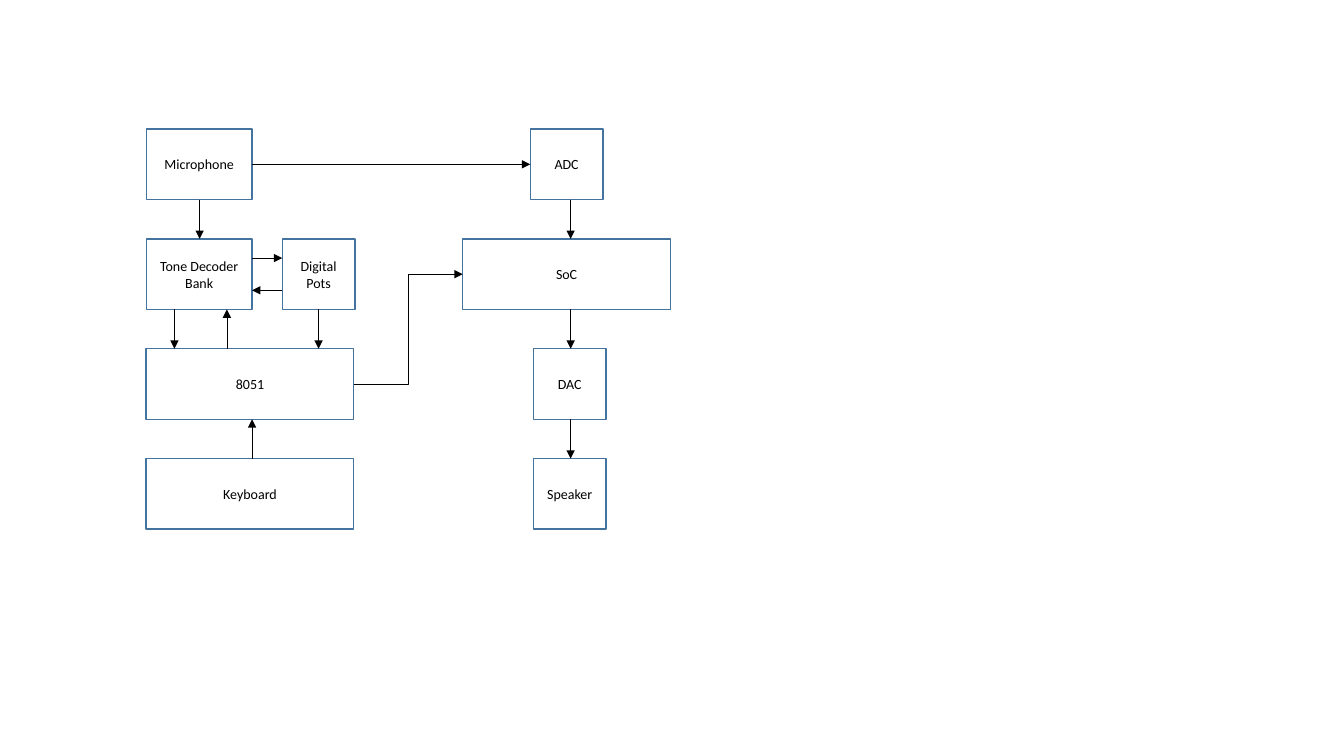
from pptx import Presentation
from pptx.dml.color import RGBColor
from pptx.enum.shapes import MSO_CONNECTOR, MSO_SHAPE
from pptx.enum.text import MSO_ANCHOR, PP_ALIGN
from pptx.oxml.ns import qn
from pptx.util import Inches, Pt
from lxml import etree

RECT = MSO_SHAPE.RECTANGLE
STRAIGHT, ELBOW = MSO_CONNECTOR.STRAIGHT, MSO_CONNECTOR.ELBOW
MIDDLE, CENTER = MSO_ANCHOR.MIDDLE, PP_ALIGN.CENTER
COLORS = {"fill": "FFFFFF", "border": "43739E", "ink": "000000"}
FONT = "Calibri"
BLOCK_H, PITCH = 0.7, 1.09
WIDE, MEDIUM, NARROW = 2.06, 1.05, 0.72
RIGHT_SITE, LEFT_SITE = 3, 1


def rgb(name):
    """Return a named colour."""
    return RGBColor.from_string(COLORS[name])


def add_block(slide, text, x, y, w):
    """Add one labelled block of the diagram."""
    s = slide.shapes.add_shape(RECT, Inches(x), Inches(y), Inches(w), Inches(BLOCK_H))
    s.shadow.inherit = False
    s.fill.solid()
    s.fill.fore_color.rgb = rgb("fill")
    s.line.color.rgb = rgb("border")
    s.line.width = Pt(1)
    tf = s.text_frame
    tf.word_wrap = True
    tf.vertical_anchor = MIDDLE
    tf.text = text
    p = tf.paragraphs[0]
    p.alignment = CENTER
    font = p.runs[0].font
    font.name, font.size = FONT, Pt(10)
    font.color.rgb = rgb("ink")
    return s


def add_arrow(slide, x1, y1, x2, y2, kind=STRAIGHT):
    """Add a thin connector with a triangular arrowhead at its end."""
    c = slide.shapes.add_connector(kind, Inches(x1), Inches(y1), Inches(x2), Inches(y2))
    c.line.color.rgb = rgb("ink")
    c.line.width = Pt(0.5)
    etree.SubElement(c.line._get_or_add_ln(), qn("a:tailEnd"), type="triangle")
    etree.SubElement(c._element.spPr, qn("a:effectLst"))
    return c


def add_control_side(slide, x, y):
    """Draw the input and control blocks and return the controller."""
    rows = [y + i * PITCH for i in range(4)]
    ends = [top + BLOCK_H for top in rows]
    pots_x = x + WIDE - NARROW + 0.01
    add_block(slide, "Microphone", x, rows[0], MEDIUM)
    add_block(slide, "Tone Decoder Bank", x, rows[1], MEDIUM)
    add_block(slide, "Digital Pots", pots_x, rows[1], NARROW)
    controller = add_block(slide, "8051", x, rows[2], WIDE)
    add_block(slide, "Keyboard", x, rows[3], WIDE)
    add_arrow(slide, x + 0.53, ends[0], x + 0.53, rows[1])
    add_arrow(slide, x + MEDIUM, rows[1] + 0.19, pots_x, rows[1] + 0.19)
    add_arrow(slide, pots_x, rows[1] + 0.51, x + MEDIUM, rows[1] + 0.51)
    for dx in (0.28, 1.71):
        add_arrow(slide, x + dx, ends[1], x + dx, rows[2])
    add_arrow(slide, x + 0.8, rows[2], x + 0.8, ends[1])
    add_arrow(slide, x + MEDIUM, rows[3], x + MEDIUM, ends[2])
    return controller


def add_audio_side(slide, x, y):
    """Draw the audio chain and return its processor."""
    rows = [y + i * PITCH for i in range(4)]
    add_block(slide, "ADC", x + 0.67, rows[0], NARROW)
    processor = add_block(slide, "SoC", x, rows[1], WIDE)
    for text, top in zip(("DAC", "Speaker"), rows[2:]):
        add_block(slide, text, x + 0.7, top, NARROW)
    for top, below in zip(rows, rows[1:]):
        add_arrow(slide, x + 1.07, top + BLOCK_H, x + 1.07, below)
    return processor


def add_block_diagram(slide, x, y):
    """Draw both sides of the diagram and the links between them."""
    audio_x = x + 3.14
    controller = add_control_side(slide, x, y)
    processor = add_audio_side(slide, audio_x, y)
    mid = y + BLOCK_H / 2
    add_arrow(slide, x + MEDIUM, mid, audio_x + 0.67, mid)
    link = add_arrow(slide, x + WIDE, mid + 2 * PITCH, audio_x, mid + PITCH, ELBOW)
    link.begin_connect(controller, RIGHT_SITE)
    link.end_connect(processor, LEFT_SITE)


prs = Presentation()
prs.slide_width, prs.slide_height = Inches(13.33), Inches(7.5)
slide = prs.slides.add_slide(prs.slide_layouts[6])
add_block_diagram(slide, 1.45, 1.28)
prs.save("out.pptx")
